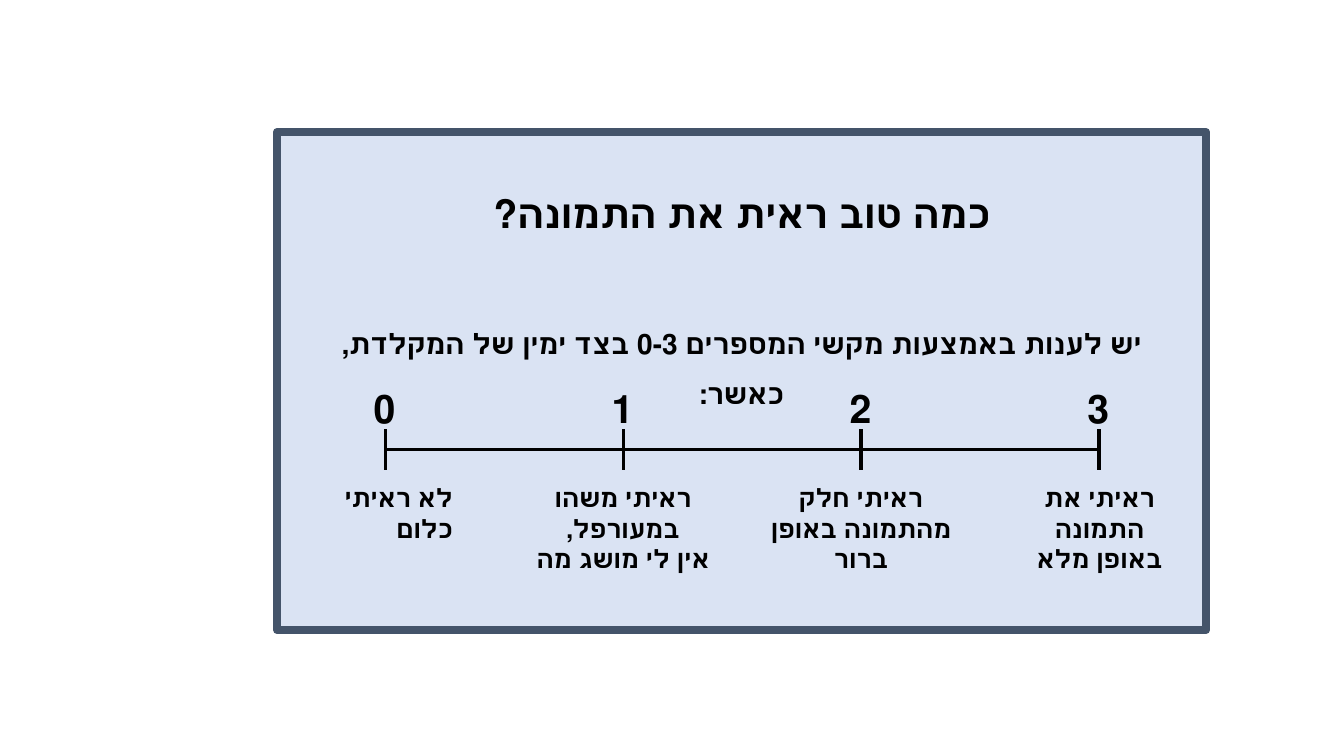
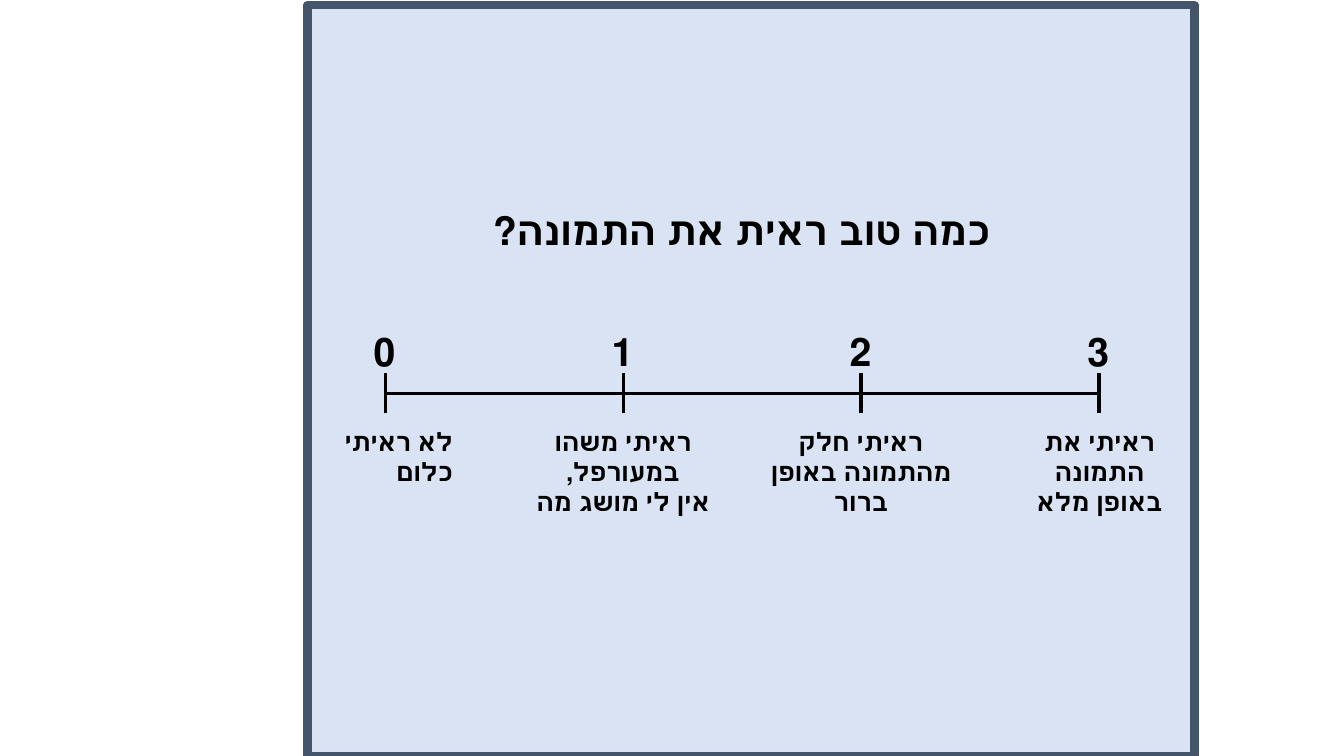
from pptx import Presentation
from pptx.dml.color import RGBColor
from pptx.enum.shapes import MSO_CONNECTOR, MSO_SHAPE
from pptx.enum.text import MSO_AUTO_SIZE, PP_ALIGN
from pptx.util import Emu, Pt
from lxml.etree import SubElement
from pptx.oxml.ns import qn

PX = 9144  # 100 px to the inch
FONT = "Calibri"
PANEL_FILL = RGBColor(0xDA, 0xE3, 0xF3)
PANEL_EDGE = RGBColor(0x44, 0x54, 0x6A)
INK = RGBColor(0, 0, 0)

QUESTION = "כמה טוב ראית את התמונה?"
INSTRUCTION = "יש לענות באמצעות מקשי המספרים 0-3 בצד ימין של המקלדת, כאשר:"

SCALE_LEFT, SCALE_STEP = 382, 236
TICK_HEIGHT = 40
# answer lines, label width, alignment
ANSWERS = [
    (["לא ראיתי כלום"], 154, PP_ALIGN.RIGHT),
    (["ראיתי משהו במעורפל,", "אין לי מושג מה"], 228, PP_ALIGN.CENTER),
    (["ראיתי חלק", "מהתמונה באופן ברור"], 216, PP_ALIGN.CENTER),
    (["ראיתי את התמונה", "באופן מלא"], 189, PP_ALIGN.CENTER),
]


def px(*lengths):
    return [Emu(length * PX) for length in lengths]


def add_panel(slide, box):
    panel = slide.shapes.add_shape(MSO_SHAPE.RECTANGLE, *px(*box))
    panel.shadow.inherit = False
    panel.fill.solid()
    panel.fill.fore_color.rgb = PANEL_FILL
    panel.line.color.rgb = PANEL_EDGE
    panel.line.width = Pt(6)


def add_rtl_text(slide, box, lines, align, wrap=False, spacing=None, gap=0):
    """Place bold right-to-left lines, each a (text, size) pair, gap points apart."""
    frame = slide.shapes.add_textbox(*px(*box)).text_frame
    frame.word_wrap = wrap
    frame.auto_size = MSO_AUTO_SIZE.SHAPE_TO_FIT_TEXT
    for index, (text, size) in enumerate(lines):
        paragraph = frame.add_paragraph() if index else frame.paragraphs[0]
        paragraph.alignment = align
        paragraph._p.get_or_add_pPr().set("rtl", "1")
        if spacing:
            paragraph.line_spacing = spacing
        if index and gap:
            paragraph.space_before = Pt(gap)
        run = paragraph.add_run()
        run.text = text
        run.font.name = FONT
        run.font.size = Pt(size)
        run.font.bold = True
        run.font.color.rgb = INK


def add_question(slide, box, lines):
    add_rtl_text(slide, box, lines, PP_ALIGN.CENTER, wrap=True, spacing=1.5, gap=52)


def add_rule(slide, x1, y1, x2, y2):
    rule = slide.shapes.add_connector(MSO_CONNECTOR.STRAIGHT, *px(x1, y1, x2, y2))
    rule.line.color.rgb = INK
    rule.line.width = Pt(2.25)
    SubElement(rule._element.spPr, qn("a:effectLst"))


def add_rating_scale(slide, left, axis):
    """Draw the 0-3 scale with its line at height axis."""
    add_rule(slide, left, axis, left + SCALE_STEP * (len(ANSWERS) - 1), axis)
    for score, (lines, width, align) in enumerate(ANSWERS):
        x = left + SCALE_STEP * score
        add_rule(slide, x, axis + TICK_HEIGHT // 2, x, axis - TICK_HEIGHT // 2)
        add_rtl_text(slide, (x - 20, axis - 70, 40, 57), [(str(score), 28)], PP_ALIGN.RIGHT)
        add_rtl_text(slide, (x - width // 2, axis + 28, width, 40 if len(lines) == 1 else 71),
                     [(line, 18) for line in lines], align)


def build_rating_slide(deck, panel, question, lines, axis):
    slide = deck.slides.add_slide(deck.slide_layouts[6])
    add_panel(slide, panel)
    add_question(slide, question, lines)
    add_rating_scale(slide, SCALE_LEFT, axis)


def main():
    deck = Presentation()
    deck.slide_width, deck.slide_height = px(1333, 750)
    title = (QUESTION, 28)
    build_rating_slide(deck, (275, 131, 921, 494), (291, 160, 890, 414),
                       [title, (INSTRUCTION, 20)], 446)
    build_rating_slide(deck, (305, 5, 880, 745), (458, 176, 555, 81), [title], 390)
    deck.save("out.pptx")


if __name__ == "__main__":
    main()
